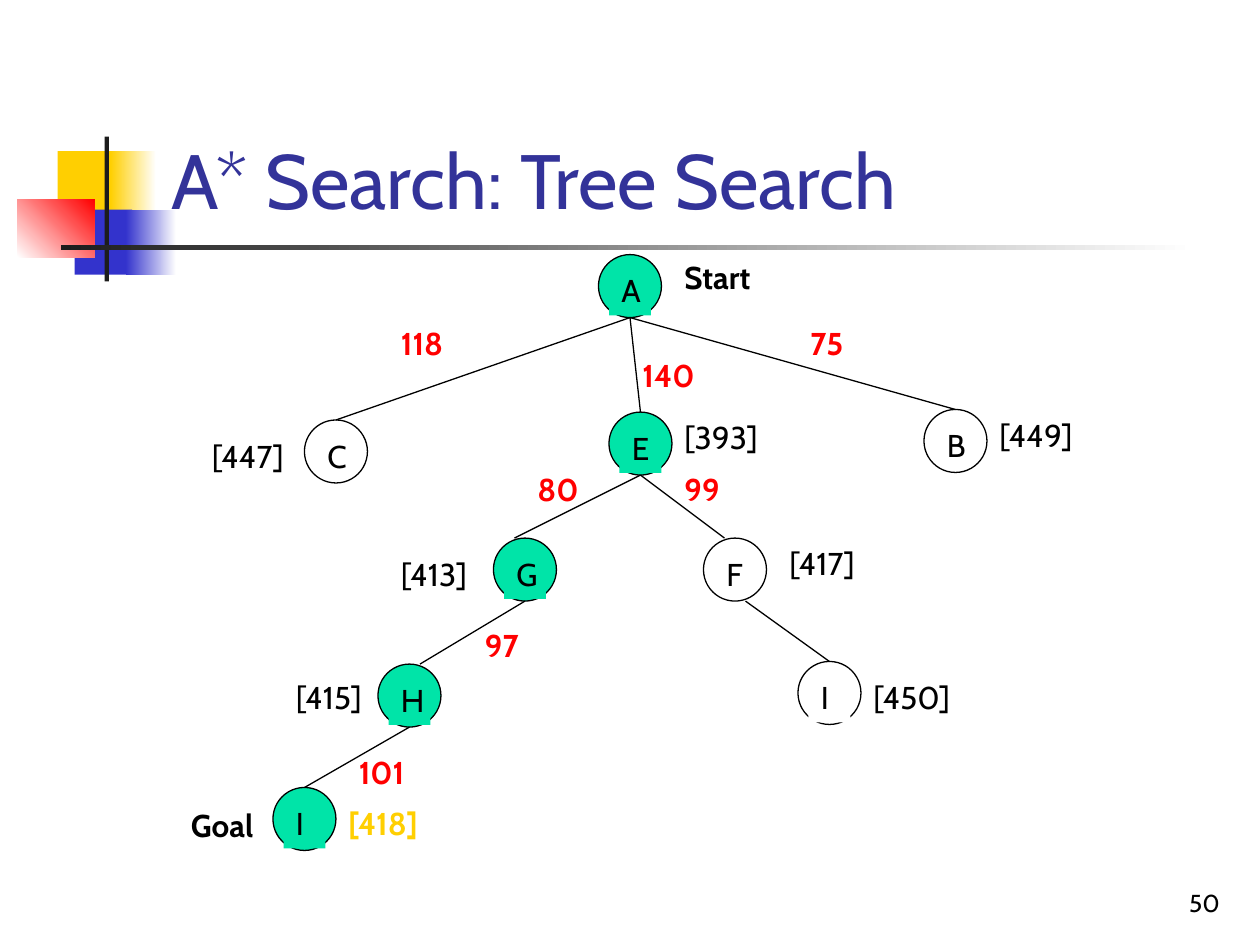
from dataclasses import dataclass

from lxml.etree import SubElement
from pptx import Presentation
from pptx.dml.color import RGBColor
from pptx.enum.shapes import MSO_CONNECTOR as Connector, MSO_SHAPE as Shape
from pptx.enum.text import MSO_ANCHOR as Anchor, MSO_AUTO_SIZE as AutoSize, PP_ALIGN as Align
from pptx.oxml.ns import qn
from pptx.util import Pt


@dataclass(frozen=True)
class Theme:
    font: str = "Cabin"
    title_size: int = 44
    body_size: int = 18
    number_size: int = 14
    title: str = "333399"
    ink: str = "000000"
    dark: str = "1C1C1C"
    white: str = "FFFFFF"
    red: str = "FF0000"
    blue: str = "3333CC"
    gold: str = "FFCF01"
    visited: str = "00E4A8"


THEME = Theme()
DIAMETER = 36
LABEL_INSET = 6
LABEL_WIDTH, LINE_HEIGHT = 24, 28.8

# Decoration: left, top, width, height, colours (two make a gradient), angle
DECOR = [
    (33, 86.4, 34.8, 37.2, [THEME.gold], 0),
    (63.2, 86.4, 26, 37.2, [THEME.gold, THEME.white], 0),
    (42.6, 119.8, 33, 37.2, [THEME.blue], 0),
    (72, 119.8, 28.8, 37.2, [THEME.blue, THEME.white], 0),
    (9.8, 113.8, 44.2, 33.2, [THEME.white, THEME.red], 45),
    (59.8, 78, 2.5, 82.8, [THEME.dark], 0),
    (34.8, 140.2, 648, 2.5, [THEME.dark, THEME.white], 0),
]

# Tree nodes: key -> letter, left, top, fill
NODES = {
    "A": ("A", 342, 145.5, THEME.visited),
    "B": ("B", 528, 234, None),
    "C": ("C", 174, 240, None),
    "E": ("E", 348, 235.5, THEME.visited),
    "F": ("F", 402, 307.5, None),
    "G": ("G", 282, 307.5, THEME.visited),
    "H": ("H", 216, 379.5, THEME.visited),
    "goal": ("I", 156, 450, THEME.visited),
    "I": ("I", 456, 378, THEME.white),
}

# Edges: parent, child, sideways shift at the parent and at the child
EDGES = [
    ("A", "B", 0, 0), ("A", "C", 0, 0), ("A", "E", 0, 0),
    ("E", "F", 0, -6), ("E", "G", 0, -6),
    ("G", "H", 0, 6), ("H", "goal", 0, 0), ("F", "I", 6, 0),
]

# Labels by style: (colour, bold) -> text, left, top, width
LABELS = {
    (THEME.red, True): [
        ("118", 222, 181.5, 60), ("140", 360, 200, 60), ("75", 456, 181.5, 48),
        ("80", 300, 265, 48), ("99", 384, 265, 48), ("97", 270, 354, 48),
        ("101", 198, 427, 66),
    ],
    (THEME.ink, False): [
        ("[393]", 384, 235.5, 60), ("[449]", 564, 234, 60), ("[447]", 114, 246, 60),
        ("[417]", 444, 307.5, 60), ("[413]", 222, 313.5, 60), ("[415]", 162, 384, 60),
        ("[450]", 492, 384, 60),
    ],
    (THEME.ink, True): [("Start", 384, 144, 96), ("Goal", 102, 457, 96)],
    (THEME.gold, True): [("[418]", 192, 456, 72)],
}


def color(value):
    return RGBColor.from_string(value)


def add_text(page, text, left, top, width, height=LINE_HEIGHT, size=THEME.body_size,
             ink=THEME.ink, bold=False, align=Align.LEFT, anchor=Anchor.TOP):
    box = page.shapes.add_textbox(Pt(left), Pt(top), Pt(width), Pt(height))
    frame = box.text_frame
    frame.text = text
    frame.word_wrap = True
    frame.auto_size = AutoSize.NONE
    frame.vertical_anchor = anchor
    para = frame.paragraphs[0]
    para.alignment = align
    font = para.runs[0].font
    font.name, font.size, font.bold = THEME.font, Pt(size), bold
    font.color.rgb = color(ink)
    return box


def add_shape(page, kind, left, top, width, height):
    shape = page.shapes.add_shape(kind, Pt(left), Pt(top), Pt(width), Pt(height))
    shape.shadow.inherit = False
    return shape


def paint(shape, fill):
    if fill:
        shape.fill.solid()
        shape.fill.fore_color.rgb = color(fill)
    else:
        shape.fill.background()


def add_decor(page, left, top, width, height, colors, angle):
    block = add_shape(page, Shape.RECTANGLE, left, top, width, height)
    block.line.fill.background()
    if len(colors) == 1:
        paint(block, colors[0])
        return
    block.fill.gradient()
    block.fill.gradient_angle = angle
    for stop, position, value in zip(block.fill.gradient_stops, (0, 1), colors):
        stop.position = position
        stop.color.rgb = color(value)


def add_node(page, letter, left, top, fill):
    circle = add_shape(page, Shape.OVAL, left, top, DIAMETER, DIAMETER)
    paint(circle, fill)
    circle.line.color.rgb = color(THEME.ink)
    circle.line.width = Pt(0.75)
    label = add_text(page, letter, left + LABEL_INSET, top + LABEL_INSET, LABEL_WIDTH)
    paint(label, fill)


def add_edge(page, parent, child, start_shift, end_shift):
    _, start_left, start_top, _ = NODES[parent]
    _, end_left, end_top, _ = NODES[child]
    radius = DIAMETER / 2
    edge = page.shapes.add_connector(
        Connector.STRAIGHT,
        Pt(start_left + radius + start_shift), Pt(start_top + DIAMETER),
        Pt(end_left + radius + end_shift), Pt(end_top))
    edge.line.color.rgb = color(THEME.ink)
    edge.line.width = Pt(0.75)
    SubElement(edge.element.spPr, qn("a:effectLst"))


def main():
    deck = Presentation()
    deck.slide_width, deck.slide_height = Pt(720), Pt(540)
    page = deck.slides.add_slide(deck.slide_layouts[6])

    # Decoration, page number and title
    for block in DECOR:
        add_decor(page, *block)
    add_text(page, "50", 554.4, 491.8, 149.8, 36, size=THEME.number_size,
             align=Align.RIGHT, anchor=Anchor.BOTTOM)
    add_text(page, "A* Search: Tree Search", 90.7, 16.6, 613.4, 115.2,
             size=THEME.title_size, ink=THEME.title, anchor=Anchor.BOTTOM)

    # Search tree
    for node in NODES.values():
        add_node(page, *node)
    for edge in EDGES:
        add_edge(page, *edge)

    # Step costs, estimates and captions
    for (ink, bold), labels in LABELS.items():
        for text, left, top, width in labels:
            add_text(page, text, left, top, width, ink=ink, bold=bold)

    deck.save("out.pptx")


if __name__ == "__main__":
    main()
